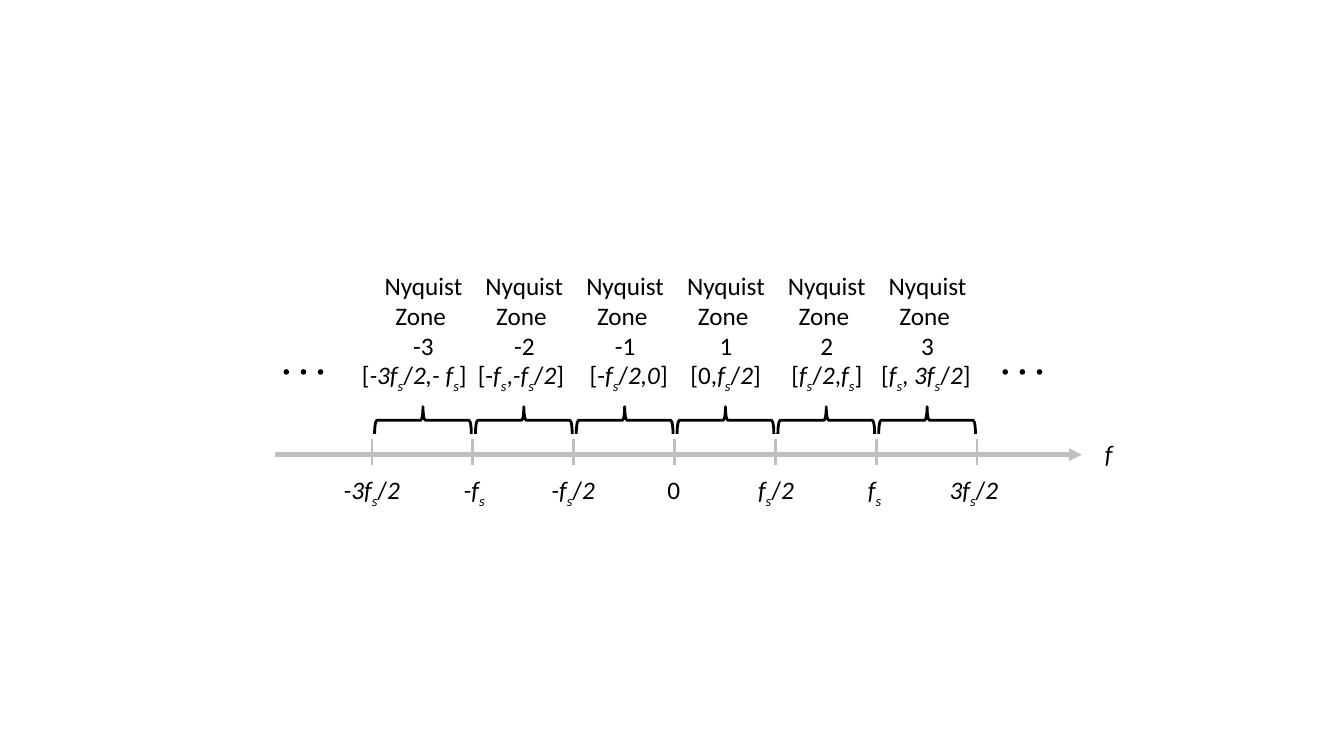
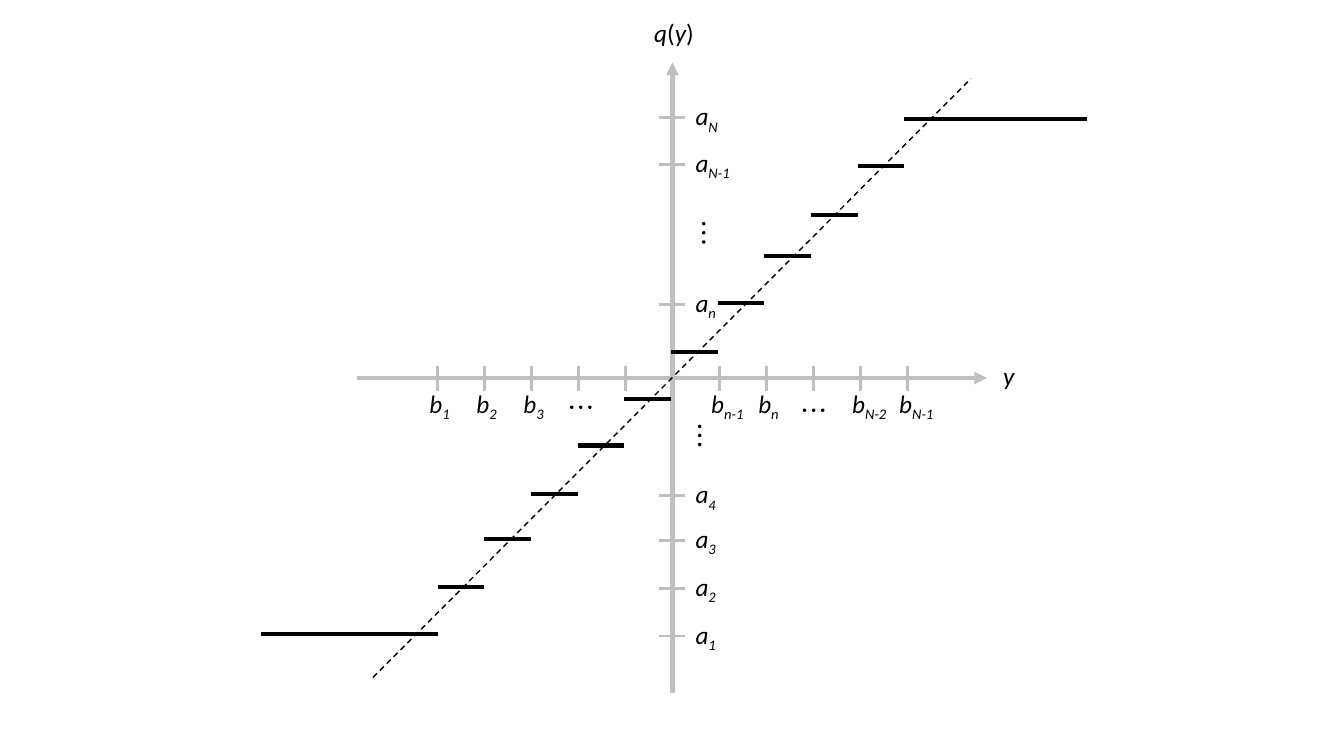
from lxml import etree
from pptx import Presentation
from pptx.dml.color import RGBColor
from pptx.enum.dml import MSO_LINE
from pptx.enum.shapes import MSO_CONNECTOR, MSO_SHAPE
from pptx.enum.text import MSO_AUTO_SIZE, PP_ALIGN
from pptx.oxml.ns import qn
from pptx.util import Inches, Pt

STRAIGHT = MSO_CONNECTOR.STRAIGHT
BRACE, DOT = MSO_SHAPE.LEFT_BRACE, MSO_SHAPE.OVAL
DASH = MSO_LINE.DASH
LEFT, CENTER = PP_ALIGN.LEFT, PP_ALIGN.CENTER
FIT_TEXT = MSO_AUTO_SIZE.SHAPE_TO_FIT_TEXT

# Shared style; a grid cell is one inch square
COLUMNS, ROWS = 13.33, 7.5
INK, AXIS = "000000", "BFBFBF"
FONT, TEXT_SIZE = "Calibri", 18
LABEL_HEIGHT = 0.4
AXIS_WIDTH, TICK_WIDTH, STEP_WIDTH = 3, 2, 3
TICK = 0.25


def color(code):
    return RGBColor.from_string(code)


class Diagram:
    def __init__(self):
        self.deck = Presentation()
        self.deck.slide_width = Inches(COLUMNS)
        self.deck.slide_height = Inches(ROWS)
        self.page = None

    def new_page(self):
        self.page = self.deck.slides.add_slide(self.deck.slide_layouts[6])

    def line(self, start, end, ink, width, arrow=False, dash=None):
        line = self.page.shapes.add_connector(
            STRAIGHT, *(Inches(value) for value in (*start, *end)))
        line.line.color.rgb = color(ink)
        line.line.width = Pt(width)
        if dash:
            line.line.dash_style = dash
        if arrow:
            etree.SubElement(line.get_or_add_ln(), qn("a:tailEnd"), type="triangle")
        etree.SubElement(line._element.spPr, qn("a:effectLst"))

    def axis(self, start, end):
        self.line(start, end, AXIS, AXIS_WIDTH, arrow=True)

    def tick_up(self, x, bottom):
        self.line((x, bottom), (x, bottom - TICK), AXIS, TICK_WIDTH)

    def tick_across(self, left, y):
        self.line((left, y), (left + TICK, y), AXIS, TICK_WIDTH)

    def shape(self, kind, left, top, width, height, line_width, fill=None):
        shape = self.page.shapes.add_shape(
            kind, *(Inches(value) for value in (left, top, width, height)))
        shape.shadow.inherit = False
        shape.line.color.rgb = color(INK)
        shape.line.width = Pt(line_width)
        if fill:
            shape.fill.solid()
            shape.fill.fore_color.rgb = color(fill)
        else:
            shape.fill.background()
        return shape

    def dots(self, left, top, size, across=0, down=0):
        for i in range(3):
            self.shape(DOT, left + i * across, top + i * down, size, size, 1, INK)

    def text(self, left, top, width, lines, height=LABEL_HEIGHT, align=LEFT):
        """Each *part* is italic and each ~part~ is a subscript."""
        box = self.page.shapes.add_textbox(
            *(Inches(value) for value in (left, top, width, height)))
        frame = box.text_frame
        frame.word_wrap = False
        frame.auto_size = FIT_TEXT
        for number, line in enumerate(lines):
            para = frame.add_paragraph() if number else frame.paragraphs[0]
            para.alignment = align
            for i, part in enumerate(line.split("*")):
                for j, piece in enumerate(part.split("~")):
                    if piece:
                        self.span(para, piece, italic=i % 2 == 1, subscript=j % 2 == 1)

    def span(self, para, words, italic, subscript):
        span = para.add_run()
        span.text = words
        span.font.name = FONT
        span.font.size = Pt(TEXT_SIZE)
        span.font.color.rgb = color(INK)
        span.font.italic = italic
        if subscript:
            span._r.get_or_add_rPr().set("baseline", "-25000")


def nyquist_zones(diagram):
    diagram.new_page()

    # Frequency axis
    diagram.axis((2.73, 4.51), (10.73, 4.51))
    diagram.text(10.86, 4.3, 0.28, ["*f*"])
    frequencies = [
        (3.31, 0.77, "*-3f~s~*/*2*"),
        (4.5, 0.42, "*-f~s~*"),
        (5.37, 0.65, "*-f~s~*/*2*"),
        (6.52, 0.34, "0"),
        (7.42, 0.57, "*f~s~*/*2*"),
        (8.51, 0.34, "*f~s~*"),
        (9.32, 0.7, "*3f~s~*/*2*"),
    ]
    for i, (left, width, words) in enumerate(frequencies):
        diagram.tick_up(3.69 + i, 4.61)
        diagram.text(left, 4.66, width, [words])

    # One brace, name and interval per zone
    zones = [
        ("-3", 3.49, 1.27, "[*-3f~s~*/*2,- f~s~*]"),
        ("-2", 4.64, 1.08, "[-*f~s~*,*-f~s~*/*2*]"),
        ("-1", 5.75, 0.99, "[-*f~s~*/*2,0*]"),
        ("1", 6.75, 0.95, "[0,*f~s~*/*2*]"),
        ("2", 7.75, 0.93, "[*f~s~*/*2*,*f~s~*]"),
        ("3", 8.64, 1.11, "[*f~s~*,* 3f~s~*/*2*]"),
    ]
    for i, (zone, left, width, interval) in enumerate(zones):
        diagram.shape(BRACE, 4.06 + i, 3.69, 0.27, 0.96, 2).rotation = 90
        diagram.text(3.71 + i, 2.63, 0.98, ["Nyquist", "Zone ", zone], 1.01, CENTER)
        diagram.text(left, 3.52, width, [interval])

    # The zones go on at both ends
    for left in (2.82, 9.95):
        diagram.dots(left, 3.67, 0.04, across=0.17)


def quantizer(diagram):
    diagram.new_page()

    # Axes and the ideal line
    diagram.axis((6.67, 6.88), (6.67, 0.62))
    diagram.axis((3.54, 3.75), (9.79, 3.75))
    diagram.text(6.39, 0.12, 0.6, ["*q*(*y*)"])
    diagram.text(9.85, 3.53, 0.31, ["*y*"])
    diagram.line((3.7, 6.72), (9.63, 0.78), INK, 1, dash=DASH)

    # Input thresholds, five on each side of the origin
    first, last, intervals = 4.34, 9, 10
    thresholds = {0: "1", 1: "2", 2: "3", 6: "n-1", 7: "n", 9: "N-2", 10: "N-1"}
    for i in range(intervals + 1):
        x = first + i * (last - first) / intervals
        if i != intervals / 2:
            diagram.tick_up(x, 3.88)
        if i in thresholds:
            index = thresholds[i]
            width = 0.42 if len(index) == 1 else 0.57
            diagram.text(x - 0.18, 3.8, width, [f"*b~{index}~*"])

    # Output levels
    outputs = [("1", 6.31), ("2", 5.84), ("3", 5.36), ("4", 4.92),
               ("n", 3.02), ("N-1", 1.63), ("N", 1.17)]
    for index, y in outputs:
        diagram.tick_across(6.54, y)
        width = 0.42 if len(index) == 1 else 0.58
        diagram.text(6.8, y - 0.22, width, [f"*a~{index}~*"])

    # Staircase: a flat step between each pair of edges
    stairs_end = 8.97
    run = (stairs_end - first) / intervals
    edges = [2.59, *(first + i * run for i in range(intervals + 1)), 10.78]
    levels = [6.29, 5.82, 5.35, 4.9, 4.42, 3.96, 3.49, 3.01, 2.54, 2.13, 1.65, 1.18]
    for left, right, y in zip(edges, edges[1:], levels):
        diagram.line((left, y), (right, y), INK, STEP_WIDTH)

    # Omitted thresholds and levels
    for left, top in ((5.66, 4.03), (7.97, 4.06)):
        diagram.dots(left, top, 0.02, across=0.09)
    for left, top in ((6.97, 2.21), (6.93, 4.22)):
        diagram.dots(left, top, 0.02, down=0.09)


diagram = Diagram()
nyquist_zones(diagram)
quantizer(diagram)
diagram.deck.save("out.pptx")
